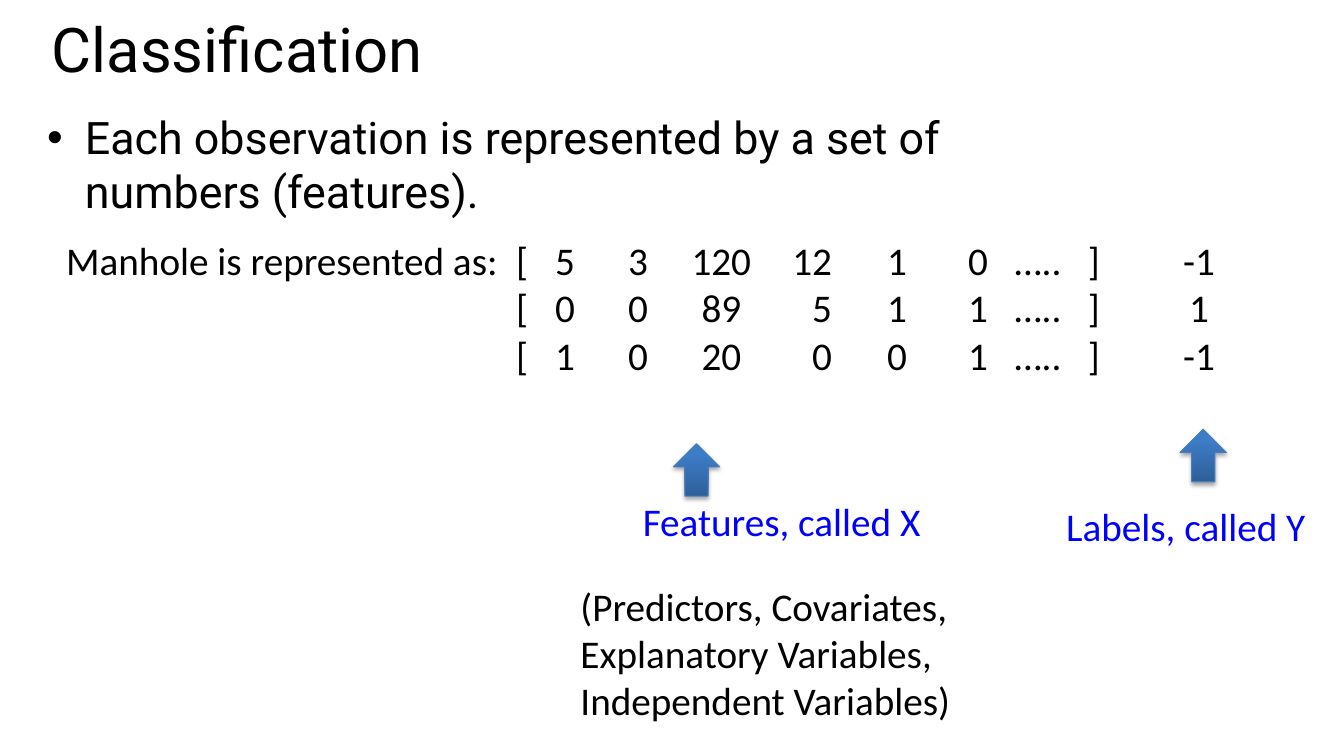
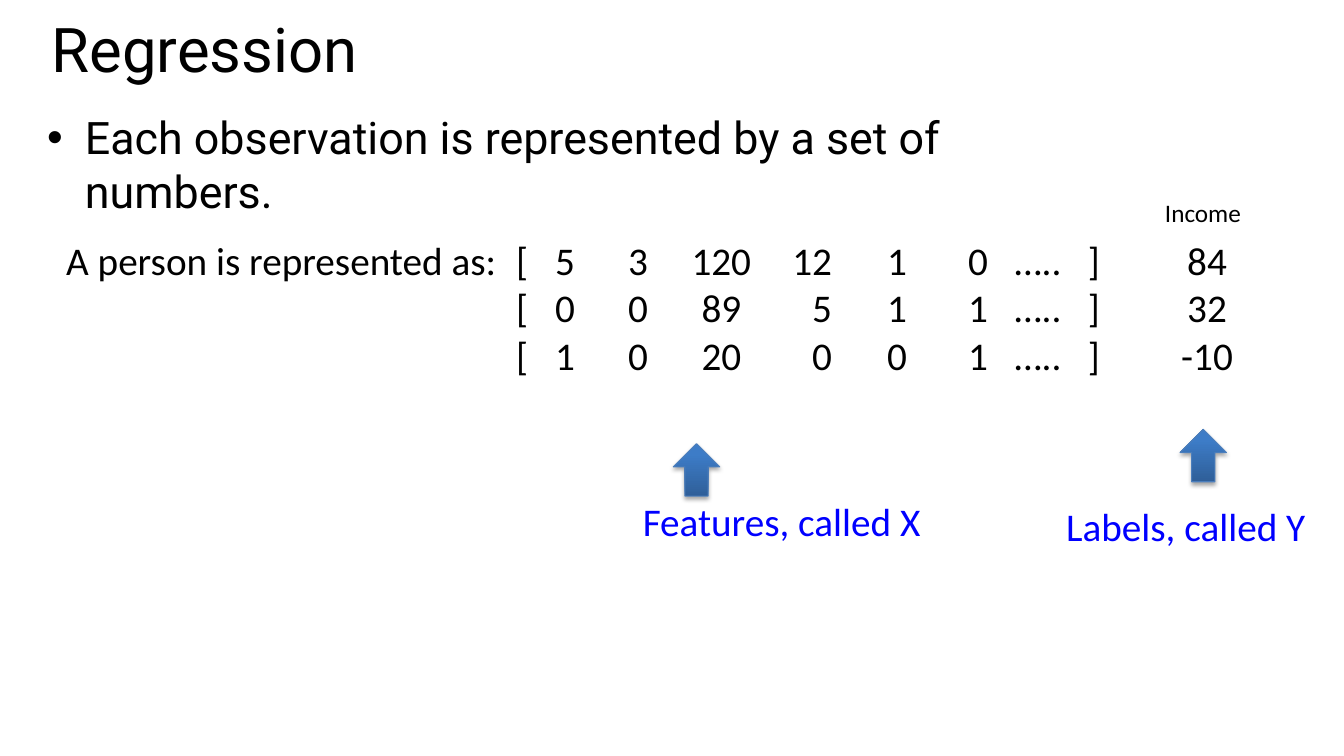
from lxml import etree
from pptx import Presentation
from pptx.dml.color import RGBColor
from pptx.enum.shapes import MSO_SHAPE
from pptx.enum.text import MSO_ANCHOR, PP_ALIGN
from pptx.oxml.ns import qn
from pptx.util import Cm, Pt

LEFT = PP_ALIGN.LEFT
TOP = MSO_ANCHOR.TOP
UP_ARROW = MSO_SHAPE.UP_ARROW

HEADING_FONT, BODY_FONT = "Roboto", "Calibri"
BLACK, BLUE = "000000", "0000FF"
ARROW_BOTTOM, ARROW_TOP, ARROW_EDGE = "2F5F99", "3D7CC7", "4B7EBC"

# Tab stops in cm: bracket, six features, ellipsis, bracket
FEATURE_TABS = [(11.49, "ctr"), (12.57, "ctr"), (14.41, "ctr"), (16.51, "ctr"),
                (19.3, "r"), (20.94, "ctr"), (22.98, "ctr"), (24.49, "ctr"),
                (25.9, "ctr")]
FEATURES = [(5, 3, 120, 12, 1, 0), (0, 0, 89, 5, 1, 1), (1, 0, 20, 0, 0, 1)]


def rgb(value):
    return RGBColor.from_string(value)


def format_text(frame, size, font=BODY_FONT, color=BLACK):
    frame.word_wrap = True
    frame.vertical_anchor = TOP
    for paragraph in frame.paragraphs:
        paragraph.alignment = LEFT
        for run in paragraph.runs:
            run.font.size = Pt(size)
            run.font.name = font
            run.font.color.rgb = rgb(color)


def add_text(slide, text, left, top, width, height, size=28, **style):
    box = slide.shapes.add_textbox(Cm(left), Cm(top), Cm(width), Cm(height))
    box.text_frame.text = text
    format_text(box.text_frame, size, **style)
    return box.text_frame


def add_title(slide, text):
    title = slide.shapes.title
    title.left, title.top, title.width, title.height = Cm(1.05), Cm(0.5), Cm(32), Cm(2.95)
    title.text_frame.text = text
    format_text(title.text_frame, 44, HEADING_FONT)
    title.text_frame.paragraphs[0].line_spacing = 0.8


def add_bullet(slide, text, left, top, width, height):
    frame = add_text(slide, text, left, top, width, height, 32, font=HEADING_FONT)
    properties = frame.paragraphs[0]._p.get_or_add_pPr()
    properties.set("marL", str(Cm(0.95)))
    properties.set("indent", str(-Cm(0.95)))
    etree.SubElement(properties, qn("a:buFont"), typeface="Arial")
    etree.SubElement(properties, qn("a:buChar"), char="•")


def add_observations(slide, caption, labels, label_tab, left, top, width, height):
    """Rows of features and their labels, aligned on tab stops."""
    rows = []
    for start, features, label in zip((caption, "", ""), FEATURES, labels):
        cells = [start, "[", *features, "…..", "]", label]
        rows.append("\t".join(str(cell) for cell in cells))
    frame = add_text(slide, "\n".join(rows), left, top, width, height)
    for paragraph in frame.paragraphs:
        tabs = etree.SubElement(paragraph._p.get_or_add_pPr(), qn("a:tabLst"))
        for position, alignment in FEATURE_TABS + [(label_tab, "ctr")]:
            etree.SubElement(tabs, qn("a:tab"), pos=str(Cm(position)), algn=alignment)


def add_arrow(slide, left, top):
    arrow = slide.shapes.add_shape(UP_ARROW, Cm(left), Cm(top), Cm(1.17), Cm(1.32))
    arrow.fill.gradient()
    arrow.fill.gradient_angle = 90
    stops = zip(arrow.fill.gradient_stops, (0, 0.8), (ARROW_BOTTOM, ARROW_TOP))
    for stop, position, color in stops:
        stop.position = position
        stop.color.rgb = rgb(color)
    arrow.line.color.rgb = rgb(ARROW_EDGE)
    arrow.line.width = Pt(0.75)
    arrow.shadow.inherit = False
    effects = arrow._element.spPr.find(qn("a:effectLst"))
    shadow = etree.SubElement(effects, qn("a:outerShdw"), blurRad=str(Pt(3.1)),
                              dist=str(Pt(1.8)), dir="5400000", rotWithShape="0")
    color = etree.SubElement(shadow, qn("a:srgbClr"), val=BLACK)
    etree.SubElement(color, qn("a:alpha"), val="35000")


def add_callout(slide, text, left, top, width, arrow_indent, arrow_rise):
    """Blue caption with an arrow above it."""
    add_text(slide, text, left, top, width, 1.45, color=BLUE)
    add_arrow(slide, left + arrow_indent, top - arrow_rise)


def add_learning_slide(deck, title, bullet, caption, labels, label_tab):
    slide = deck.slides.add_slide(deck.slide_layouts[5])
    add_title(slide, title)
    add_bullet(slide, bullet, 0.94, 2.64, 26.5, 3)
    add_observations(slide, caption, labels, label_tab, 1.42, 5.84, 31, 4)
    add_callout(slide, "Labels, called Y", 26.62, 12.53, 7, 3.12, 1.71)
    add_callout(slide, "Features, called X", 15.95, 12.4, 8.5, 1.02, 1.22)
    return slide


def main():
    deck = Presentation()
    deck.slide_width, deck.slide_height = Cm(33.87), Cm(19.05)

    classification = add_learning_slide(
        deck, "Classification",
        "Each observation is represented by a set of numbers (features).",
        "Manhole is represented as:", ("-1", "1", "-1"), 28.55)
    add_text(classification,
             "(Predictors, Covariates, Explanatory Variables, Independent Variables)",
             14.38, 14.55, 11.07, 3.84)

    regression = add_learning_slide(
        deck, "Regression",
        "Each observation is represented by a set of numbers.",
        "A person is represented as:", ("84", "32", "-10"), 28.75)
    add_text(regression, "Income", 29.11, 4.85, 3, 1.02, size=18)

    deck.save("out.pptx")


if __name__ == "__main__":
    main()
